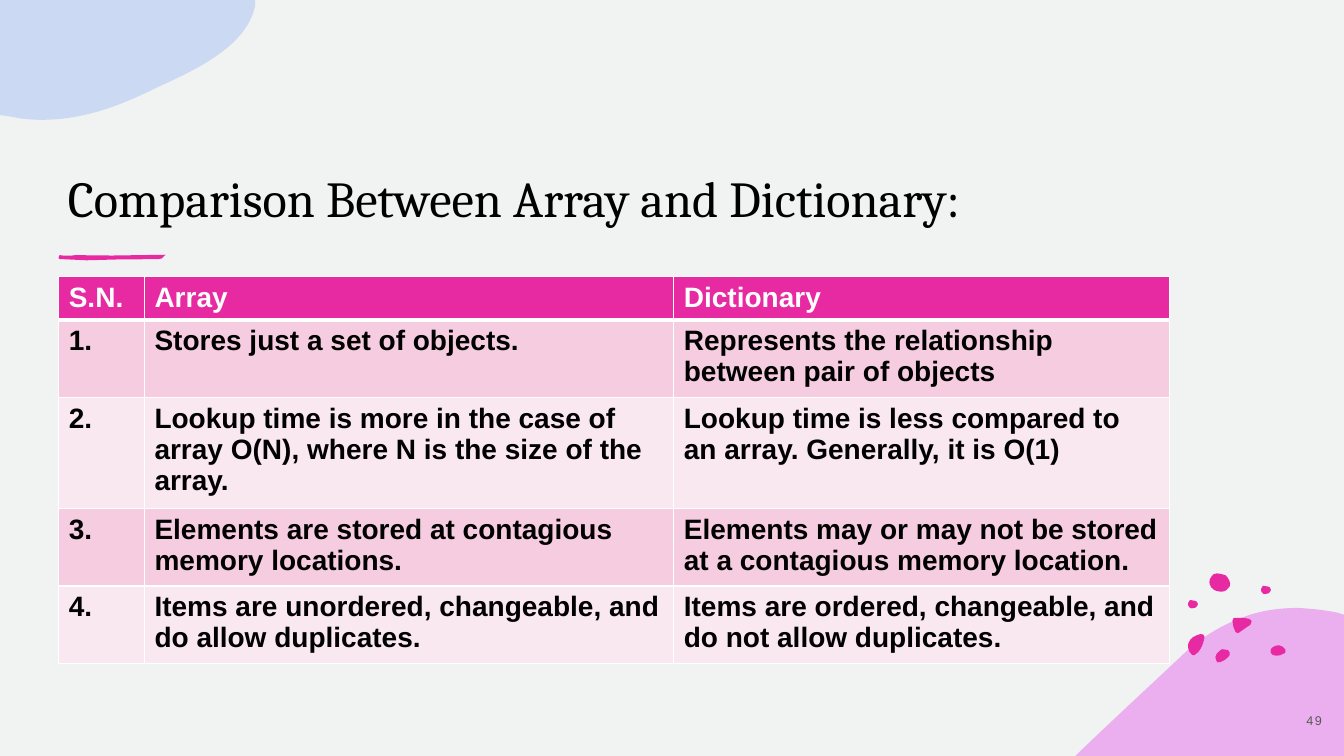
from lxml.etree import SubElement
from pptx import Presentation
from pptx.dml.color import RGBColor
from pptx.enum.text import MSO_ANCHOR, PP_ALIGN
from pptx.oxml.ns import qn
from pptx.util import Cm, Pt

PINK, LILAC, BLUE = "E729A2", "E86BEF", "A9C1F5"
WHITE, BLACK, GREY = "FFFFFF", "000000", "595959"
BANDS = ["F6CDE0", "FAE8F0"]

# Outlines in cm: a pair is a straight step, six numbers are a Bézier curve
WAVE = [
    (32.72, 15.32), (33.05, 15.34, 33.38, 15.37, 33.71, 15.44),
    (33.87, 15.49), (33.87, 19.05), (27.1, 19.05), (27.13, 19.02),
    (27.99, 18.19, 28.88, 17.37, 29.69, 16.61),
    (30.25, 16.05, 30.84, 15.72, 31.42, 15.52),
    (31.85, 15.37, 32.28, 15.32, 32.72, 15.32),
]
CORNER = [
    (0, 0), (6.43, 0), (6.43, 0.15), (6.22, 1.12, 5.08, 1.7, 4.01, 2.18),
    (3.12, 2.62, 2.18, 3.02, 1.04, 3.02), (0.79, 3.02, 0.56, 3, 0.33, 2.95),
    (0, 2.9),
]
UNDERLINE = [
    (1.5, 6.43), (1.63, 6.45, 1.78, 6.45, 1.9, 6.43), (2.82, 6.44),
    (4.17, 6.42), (4.09, 6.45, 4.14, 6.53, 3.99, 6.53), (2.92, 6.54),
    (2.18, 6.56), (1.55, 6.53), (1.45, 6.55, 1.47, 6.45, 1.5, 6.43),
]
FLECK = [(0, 0), (0.01, 0, 0.02, 0, 0.03, 0.01), (0.02, 0.01, 0.01, 0.01, 0, 0)]
FLECK_PLACES = [(1.48, 6.52), (1.52, 6.52), (4.14, 6.43)]
PEBBLE = [
    (31.78, 14.88), (31.78, 14.88, 31.78, 14.78, 31.83, 14.76),
    (31.88, 14.76, 31.9, 14.76, 31.95, 14.78),
    (31.98, 14.78, 32.03, 14.81, 32.03, 14.86),
    (32.03, 14.88, 32, 14.94, 31.98, 14.94),
    (31.98, 14.94, 31.98, 14.96, 31.93, 14.96),
    (31.9, 14.96, 31.85, 14.99, 31.83, 14.96),
    (31.8, 14.91, 31.78, 14.91, 31.78, 14.88),
]
SPOTS = [
    [(30.81, 16.36), (30.86, 16.36, 30.89, 16.36, 30.94, 16.38),
     (30.99, 16.41, 31.01, 16.46, 30.99, 16.51),
     (30.94, 16.59, 30.78, 16.71, 30.68, 16.69),
     (30.66, 16.66, 30.63, 16.61, 30.63, 16.56),
     (30.63, 16.51, 30.68, 16.43, 30.73, 16.41),
     (30.76, 16.38, 30.78, 16.36, 30.81, 16.36)],
    [(30.25, 15.98), (30.3, 15.98, 30.35, 15.98, 30.35, 16.03), (30.35, 16.08),
     (30.33, 16.21, 30.28, 16.33, 30.2, 16.43),
     (30.15, 16.48, 30.07, 16.56, 30.02, 16.48),
     (29.95, 16.41, 29.92, 16.28, 29.95, 16.21),
     (29.97, 16.13, 30.02, 16.1, 30.07, 16.05),
     (30.1, 16.05, 30.18, 15.98, 30.25, 15.98)],
    [(32.23, 16.26), (32.28, 16.26, 32.36, 16.31, 32.39, 16.36),
     (32.41, 16.41, 32.41, 16.46, 32.33, 16.48),
     (32.26, 16.54, 32.05, 16.54, 32.03, 16.46),
     (32, 16.41, 32.03, 16.36, 32.05, 16.33),
     (32.11, 16.28, 32.16, 16.26, 32.23, 16.26)],
    [(30.51, 14.76), (30.48, 14.76, 30.45, 14.61, 30.53, 14.53),
     (30.58, 14.48, 30.58, 14.45, 30.66, 14.45),
     (30.73, 14.45, 30.84, 14.48, 30.89, 14.5),
     (30.94, 14.55, 31.04, 14.68, 30.99, 14.78),
     (30.91, 14.86, 30.89, 14.91, 30.78, 14.91),
     (30.71, 14.91, 30.58, 14.88, 30.56, 14.83),
     (30.51, 14.81, 30.51, 14.78, 30.51, 14.76)],
    [(31.19, 15.57), (31.34, 15.57, 31.62, 15.57, 31.52, 15.72),
     (31.52, 15.75, 31.5, 15.77, 31.47, 15.77),
     (31.39, 15.82, 31.32, 15.88, 31.24, 15.93),
     (31.22, 15.95, 31.19, 15.98, 31.14, 15.93),
     (31.09, 15.82, 31.06, 15.75, 31.06, 15.65),
     (31.06, 15.62, 31.06, 15.6, 31.09, 15.57)],
]

COLUMN_WIDTHS = [2.16, 13.34, 12.5]
ROW_HEIGHT = 1.04
COMPARISON = [
    ["S.N.", "Array", "Dictionary"],
    ["1.", "Stores just a set of objects.",
     "Represents the relationship between pair of objects"],
    ["2.", "Lookup time is more in the case of array O(N), where N is the size of the array.",
     "Lookup time is less compared to an array. Generally, it is O(1)"],
    ["3.", "Elements are stored at contagious memory locations.",
     "Elements may or may not be stored at a contagious memory location."],
    ["4.", "Items are unordered, changeable, and do allow duplicates.",
     "Items are ordered, changeable, and do not allow duplicates."],
]


def paint(target, color):
    """Give a fill or a font a solid colour."""
    if hasattr(target, "solid"):
        target.solid()
        target = target.fore_color
    else:
        target = target.color
    target.rgb = RGBColor.from_string(color)


def bend(blob, outline, shift):
    """Turn the straight steps of a freeform into its curves."""
    steps = list(blob._element.iter(qn("a:lnTo")))
    for step, segment in zip(steps, outline[1:]):
        if len(segment) == 2:
            continue
        step.tag = qn("a:cubicBezTo")
        step.remove(step[0])
        for x, y in zip(segment[::2], segment[1::2]):
            SubElement(step, qn("a:pt"), x=str(Cm(x + shift[0]) - blob.left),
                       y=str(Cm(y + shift[1]) - blob.top))


def add_blob(page, outline, color, opacity=100, shift=(0, 0)):
    points = [(Cm(segment[-2] + shift[0]), Cm(segment[-1] + shift[1]))
              for segment in outline]
    builder = page.shapes.build_freeform(*points[0])
    builder.add_line_segments(points[1:], close=True)
    blob = builder.convert_to_shape()
    bend(blob, outline, shift)
    blob.shadow.inherit = False
    blob.line.fill.background()
    paint(blob.fill, color)
    if opacity < 100:
        tint = blob.fill._xPr.find(qn("a:solidFill"))[0]
        SubElement(tint, qn("a:alpha")).set("val", str(opacity * 1000))


def style_text(frame, font, size, color, bold=False):
    for para in frame.paragraphs:
        for span in para.runs:
            span.font.name = font
            span.font.size = Pt(size)
            span.font.bold = bold
            paint(span.font, color)


def add_text(page, text, left, top, width, height, anchor, font, size, color):
    box = page.shapes.add_textbox(Cm(left), Cm(top), Cm(width), Cm(height))
    frame = box.text_frame
    frame.word_wrap = True
    frame.vertical_anchor = anchor
    frame.text = text
    style_text(frame, font, size, color)
    return frame.paragraphs[0]


def add_borders(cell, bottom):
    properties = cell._tc.get_or_add_tcPr()
    for side, width in (("L", 1), ("R", 1), ("T", 1), ("B", bottom)):
        line = SubElement(properties, qn("a:ln" + side), w=str(Pt(width)))
        fill = SubElement(line, qn("a:solidFill"))
        SubElement(fill, qn("a:srgbClr"), val=WHITE)


def add_comparison(page, left, top):
    table = page.shapes.add_table(
        len(COMPARISON), len(COLUMN_WIDTHS), Cm(left), Cm(top),
        Cm(sum(COLUMN_WIDTHS)), Cm(ROW_HEIGHT * len(COMPARISON))).table
    for column, width in zip(table.columns, COLUMN_WIDTHS):
        column.width = Cm(width)
    for index, row in enumerate(table.rows):
        row.height = Cm(ROW_HEIGHT)
        header = index == 0
        for cell, text in zip(row.cells, COMPARISON[index]):
            add_borders(cell, 3 if header else 1)
            paint(cell.fill, PINK if header else BANDS[(index - 1) % 2])
            cell.text_frame.text = text
            style_text(cell.text_frame, "Arial", 20, WHITE if header else BLACK, True)


def main():
    deck = Presentation()
    deck.slide_width, deck.slide_height = Cm(33.87), Cm(19.05)
    page = deck.slides.add_slide(deck.slide_layouts[6])
    paint(page.background.fill, "F0F3F1")

    # Decoration
    add_blob(page, WAVE, LILAC, 50)
    for spot in SPOTS:
        add_blob(page, spot, PINK)
    for shift in ((0, 0), (-1.84, 0.36)):
        add_blob(page, PEBBLE, PINK, shift=shift)
    add_blob(page, CORNER, BLUE, 50)
    for place in FLECK_PLACES:
        add_blob(page, FLECK, PINK, shift=place)
    add_blob(page, UNDERLINE, PINK)

    # Title and table
    add_text(page, "Comparison Between Array and Dictionary:", 1.46, 2.18, 28, 3.68,
             MSO_ANCHOR.BOTTOM, "Cambria", 36, BLACK)
    add_comparison(page, 1.48, 6.97)

    # Page number
    number = add_text(page, "49", 32.38, 17.65, 1.48, 1.02,
                      MSO_ANCHOR.MIDDLE, "Arial", 9, GREY)
    number.alignment = PP_ALIGN.CENTER
    number.runs[0]._r.get_or_add_rPr().set("spc", "110")

    deck.save("out.pptx")


if __name__ == "__main__":
    main()
